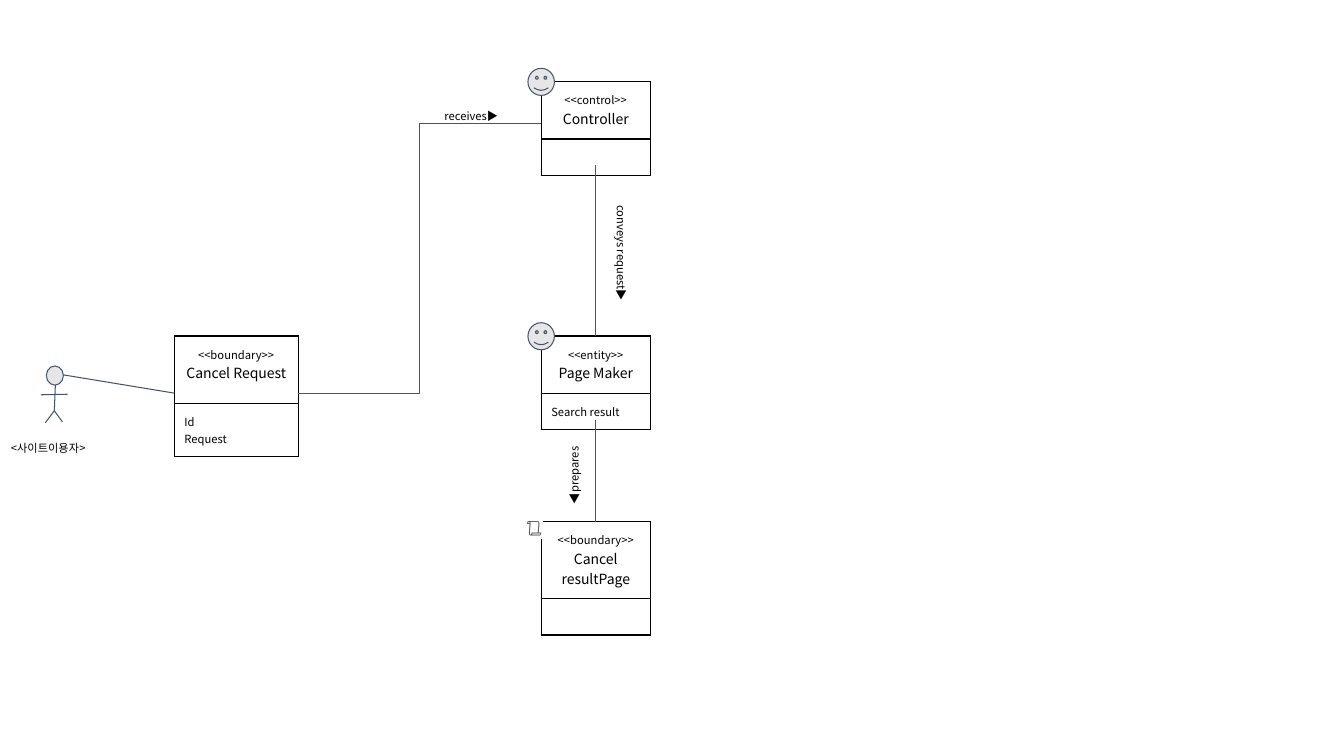
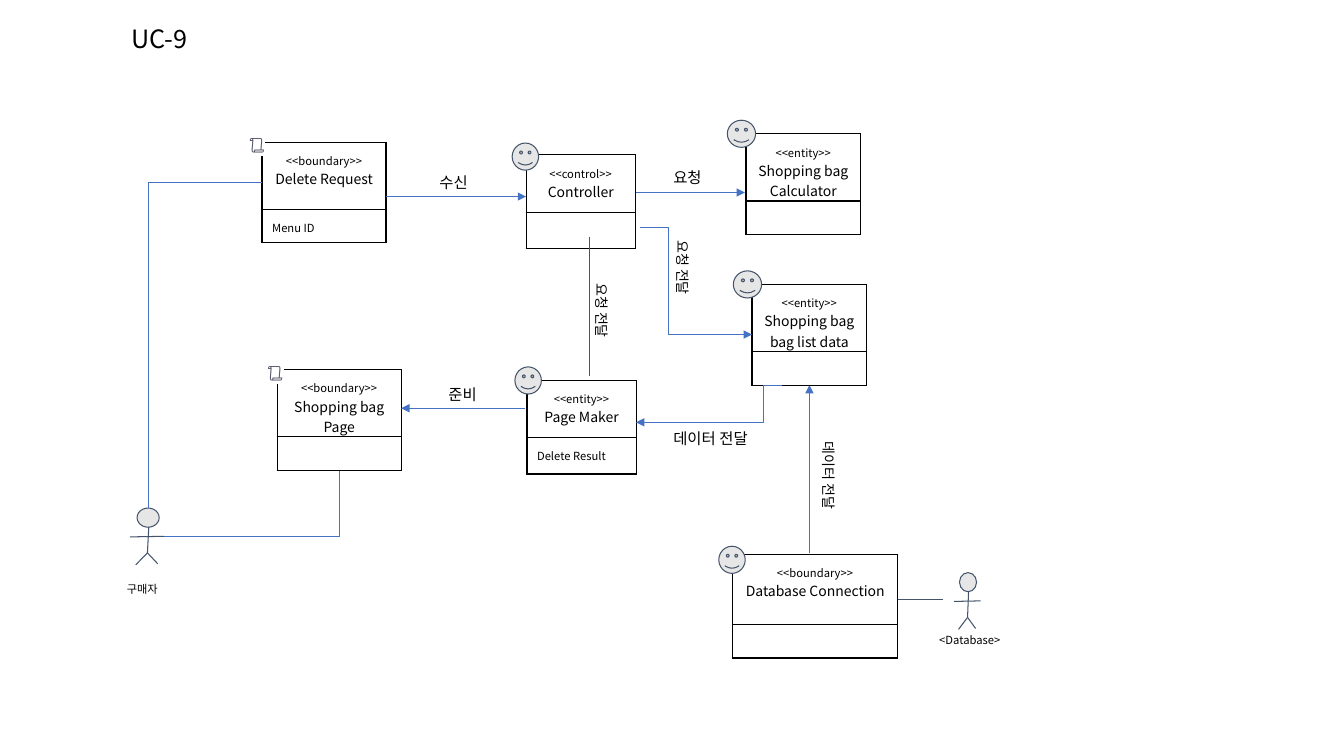
from dataclasses import dataclass

from lxml import etree
from pptx import Presentation
from pptx.dml.color import RGBColor
from pptx.enum.shapes import MSO_CONNECTOR, MSO_SHAPE
from pptx.enum.text import MSO_ANCHOR, MSO_AUTO_SIZE, PP_ALIGN
from pptx.oxml.ns import qn
from pptx.util import Pt

STRAIGHT, ELBOW = MSO_CONNECTOR.STRAIGHT, MSO_CONNECTOR.ELBOW
OVAL, SMILEY = MSO_SHAPE.OVAL, MSO_SHAPE.SMILEY_FACE
LEFT, CENTER = PP_ALIGN.LEFT, PP_ALIGN.CENTER
TOP = MSO_ANCHOR.TOP
NO_AUTOSIZE = MSO_AUTO_SIZE.NONE

FONT = "Noto Sans CJK KR"
COLORS = {
    "text": "000000",
    "outline": "44546A",
    "flow": "4472C4",
    "icon": "E7E6E6",
    "scroll": "515365",
    "paper": "FFFFFF",
}
INSET = 7.2
TITLE_LAYOUT, BLANK_LAYOUT = 5, 6


@dataclass
class Icon:
    """A marker placed relative to the top-left corner of a class box."""
    kind: str
    dx: float
    dy: float
    width: float = 18.9


@dataclass
class ClassBox:
    """A two-row class box: stereotype and name above, attributes below."""
    stereotype: str
    name: str
    left: float
    top: float
    width: float
    rows: tuple[float, float]
    attributes: str = ""
    icon: Icon | None = None


@dataclass
class Link:
    """A straight or bent line; bend is the share of the width before the turn."""
    start: tuple[float, float]
    end: tuple[float, float]
    color: str = "outline"
    bend: float | None = None
    arrow: bool = False


@dataclass
class Label:
    """A free text; left, top, width and height are those before rotation."""
    text: str
    left: float
    top: float
    width: float
    height: float
    size: float = 8
    rotation: float = 0
    align: PP_ALIGN = LEFT
    inset: float = INSET
    color: str = "text"
    highlight: str | None = None


@dataclass
class Person:
    """A stick figure, placed by its head."""
    left: float
    top: float
    width: float = 12.2


def rgb(name: str) -> RGBColor:
    """Return a named colour."""
    return RGBColor.from_string(COLORS[name])


def add_solid(parent, tag: str, name: str) -> None:
    """Append an element that holds a plain colour."""
    holder = etree.SubElement(parent, qn(tag))
    etree.SubElement(holder, qn("a:srgbClr"), val=COLORS[name])


def style_text(para, size: float, align: PP_ALIGN = LEFT, color: str = "text") -> None:
    """Align a paragraph and format its runs."""
    para.alignment = align
    for span in para.runs:
        span.font.size = Pt(size)
        span.font.name = FONT
        span.font.color.rgb = rgb(color)
        etree.SubElement(span.font._element, qn("a:ea"), typeface=FONT)
    if not para.runs:
        etree.SubElement(para._p, qn("a:endParaRPr"), sz=str(round(size * 100)))


def set_frame(frame, inset: float) -> None:
    """Set wrapping, anchor and insets of a text frame."""
    frame.word_wrap = True
    frame.auto_size = NO_AUTOSIZE
    frame.vertical_anchor = TOP
    frame.margin_left = frame.margin_right = Pt(INSET)
    frame.margin_top = frame.margin_bottom = Pt(inset)


def add_label(slide, label: Label) -> None:
    """Draw a free text."""
    box = slide.shapes.add_textbox(Pt(label.left), Pt(label.top), Pt(label.width), Pt(label.height))
    box.rotation = label.rotation
    set_frame(box.text_frame, label.inset)
    box.text_frame.text = label.text
    para = box.text_frame.paragraphs[0]
    style_text(para, label.size, label.align, label.color)
    if label.highlight:
        properties = para.runs[0].font._element
        add_solid(properties, "a:highlight", label.highlight)
        properties.find(qn("a:solidFill")).addnext(properties.find(qn("a:highlight")))


def add_link(slide, link: Link) -> None:
    """Draw a connecting line."""
    kind = STRAIGHT if link.bend is None else ELBOW
    line = slide.shapes.add_connector(kind, *(Pt(value) for value in link.start + link.end))
    line.line.color.rgb = rgb(link.color)
    line.line.width = Pt(0.5 if link.color == "flow" else 0.75)
    properties = line._element.spPr
    if link.arrow:
        etree.SubElement(properties.find(qn("a:ln")), qn("a:tailEnd"), type="triangle")
    etree.SubElement(properties, qn("a:effectLst"))
    if link.bend is not None:
        geometry = properties.find(qn("a:prstGeom"))
        guides = geometry.find(qn("a:avLst"))
        if guides is None:
            guides = etree.SubElement(geometry, qn("a:avLst"))
        etree.SubElement(guides, qn("a:gd"), name="adj1", fmla=f"val {round(link.bend * 100000)}")


def add_figure(slide, kind: MSO_SHAPE, left: float, top: float, width: float, height: float) -> None:
    """Draw a grey outlined shape."""
    figure = slide.shapes.add_shape(kind, Pt(left), Pt(top), Pt(width), Pt(height))
    figure.shadow.inherit = False
    figure.fill.solid()
    figure.fill.fore_color.rgb = rgb("icon")
    figure.line.color.rgb = rgb("outline")
    figure.line.width = Pt(0.75)


def add_person(slide, person: Person) -> None:
    """Draw a stick figure."""
    def at(share: float, drop: float) -> tuple[float, float]:
        """Turn a share of the head width and a drop into a position."""
        return person.left + share * person.width, person.top + drop

    add_figure(slide, OVAL, person.left, person.top, person.width, 13.7)
    hip = at(0.47, 32)
    for end in (at(0.53, 13.7), at(-0.06, 40.6), at(0.94, 39.9)):
        add_link(slide, Link(hip, end))
    add_link(slide, Link(at(-0.32, 20.6), at(1.24, 20.2)))


def add_borders(cell) -> None:
    """Give a cell a black line on each side."""
    properties = cell._tc.get_or_add_tcPr()
    for side in ("a:lnL", "a:lnR", "a:lnT", "a:lnB"):
        line = etree.SubElement(properties, qn(side), w=str(Pt(1)))
        add_solid(line, "a:solidFill", "text")


def add_class_box(slide, item: ClassBox) -> None:
    """Draw a class box with its icon."""
    frame = slide.shapes.add_table(
        2, 1, Pt(item.left), Pt(item.top), Pt(item.width), Pt(sum(item.rows)))
    table = frame.table
    table.first_row = table.horz_banding = False
    texts = (f"{item.stereotype}\n{item.name}", item.attributes)
    for index, (height, text) in enumerate(zip(item.rows, texts)):
        table.rows[index].height = Pt(height)
        cell = table.cell(index, 0)
        add_borders(cell)
        cell.fill.background()
        cell.margin_left = cell.margin_right = cell.margin_top = Pt(INSET)
        cell.margin_bottom = Pt(0)
        cell.text_frame.text = text
        for number, para in enumerate(cell.text_frame.paragraphs):
            is_name = index == 0 and number > 0
            style_text(para, 10 if is_name else 8, LEFT if index else CENTER)
    if item.icon:
        add_icon(slide, item.icon, item.left + item.icon.dx, item.top + item.icon.dy)


def add_icon(slide, icon: Icon, left: float, top: float) -> None:
    """Draw a smiley or a scroll."""
    if icon.kind == "smiley":
        add_figure(slide, SMILEY, left, top, icon.width, 19.4)
    else:
        add_label(slide, Label("\U0001F4DC", left, top, 33, 28.8, size=12,
                               color="scroll", highlight="paper"))


def set_title(slide, text: str) -> None:
    """Place and format the title."""
    title = slide.shapes.title
    title.left, title.top, title.width, title.height = Pt(86.4), Pt(13), Pt(193.7), Pt(33)
    set_frame(title.text_frame, 3.6)
    title.text_frame.text = text
    style_text(title.text_frame.paragraphs[0], 18)


DRAW = {ClassBox: add_class_box, Link: add_link, Label: add_label, Person: add_person}


def add_diagram(deck, items: list, title: str | None = None) -> None:
    """Add a slide and draw its items from back to front."""
    slide = deck.slides.add_slide(deck.slide_layouts[TITLE_LAYOUT if title else BLANK_LAYOUT])
    if title:
        set_title(slide, title)
    for item in items:
        DRAW[type(item)](slide, item)


SHORT = (41, 26)
TALL = (48, 24)
FACE = Icon("smiley", -9.5, -9.5)
WIDE_FACE = Icon("smiley", -13.3, -9.7, 20.2)

CANCEL_ITEMS = [
    ClassBox("<<control>>", "Controller", 386.6, 58.3, 78, SHORT, icon=FACE),
    ClassBox("<<entity>>", "Page Maker", 386.6, 240, 78, SHORT, "Search result", FACE),
    ClassBox("<<boundary>>", "Cancel Request", 124.5, 240, 88.5, (48.3, 37.7), "Id\nRequest"),
    ClassBox("<<boundary>>", "Cancel resultPage", 386.6, 372.6, 78, (55, 26),
             icon=Icon("scroll", -18, -10.6)),
    Label("◀prepares", 373.7, 318.2, 73.4, 24.5, rotation=270),
    Link((45.4, 267.8), (124.5, 280.8)),
    Label("conveys request▶", 396, 168.5, 95, 24.5, rotation=90, align=CENTER),
    Link((425.7, 118), (425.7, 240)),
    Person(33.1, 261.4),
    Link((425.7, 300.2), (425.7, 373)),
    Label("<사이트이용자>", 0.7, 308.2, 77.8, 24.5),
    Link((212.7, 280.8), (386.6, 88), bend=0.5),
    Label("receives▶", 297.4, 70.6, 78.5, 24.5, align=CENTER),
]

DELETE_ITEMS = [
    Link((578.2, 395.3), (578.2, 275), "flow", arrow=True),
    ClassBox("<<control>>", "Controller", 375.8, 110.6, 78, SHORT,
             icon=Icon("smiley", -10, -8.4)),
    ClassBox("<<entity>>", "Page Maker", 376.4, 271.6, 78, SHORT, "Delete Result",
             Icon("smiley", -8.6, -9.5)),
    Label("<Database>", 663.8, 445, 59.8, 24.5),
    ClassBox("<<boundary>>", "Database Connection", 523.4, 396, 117.7, (50, 24),
             icon=Icon("smiley", -10, -5.8)),
    Person(685.4, 409),
    Link((641.5, 428.4), (673.9, 428.4)),
    ClassBox("<<entity>>", "Shopping bag Calculator", 532.8, 95.6, 82, TALL, icon=WIDE_FACE),
    ClassBox("<<entity>>", "Shopping bag bag list data", 537.1, 203.2, 82, TALL, icon=WIDE_FACE),
    Label("요청 전달", 382.3, 208.6, 95, 26.6, 10, 90, CENTER),
    Link((421.2, 169.2), (421.2, 268.6)),
    Person(97.9, 362.9, 15.8),
    Label("구매자", 83.5, 409, 43.9, 24.5),
    ClassBox("<<boundary>>", "Shopping bag\nPage", 198, 264, 88.6, TALL,
             icon=Icon("scroll", -14.4, -12.7)),
    ClassBox("<<boundary>>", "Delete Request", 187.2, 101.5, 88.6, TALL, "Menu ID",
             Icon("scroll", -16.6, -13)),
    Link((187.2, 130.3), (105.8, 362.9), "flow", bend=1),
    Link((117.4, 383), (242.6, 336.2), "flow", bend=1),
    Link((275.8, 140.4), (375.8, 140.4), "flow", arrow=True),
    Label("수신", 306.7, 120.2, 37.4, 20.9, 11, inset=3.6),
    Link((375.1, 291.6), (286.6, 291.6), "flow", arrow=True),
    Label("준비", 313.2, 271.4, 37.4, 20.9, 11, inset=3.6),
    Link((454.3, 137.5), (532.1, 137.5), "flow", arrow=True),
    Label("요청", 473.8, 116.6, 37.4, 20.9, 11, inset=3.6),
    Label("데이터 전달", 544.3, 326.2, 95, 26.6, 10, 90, CENTER),
    Link((457.2, 162.7), (537.1, 239), "flow", bend=0.25, arrow=True),
    Label("요청 전달", 440.6, 177.8, 95, 26.6, 10, 90, CENTER),
    Link((558.7, 275), (454.3, 301.7), "flow", bend=0.127, arrow=True),
    Label("데이터 전달", 473.8, 303.1, 77.8, 20.9, 11, inset=3.6),
]


def main() -> None:
    """Build and save the deck."""
    deck = Presentation()
    deck.slide_width, deck.slide_height = Pt(960), Pt(540)
    add_diagram(deck, CANCEL_ITEMS)
    add_diagram(deck, DELETE_ITEMS, "UC-9")
    deck.save("out.pptx")


main()
